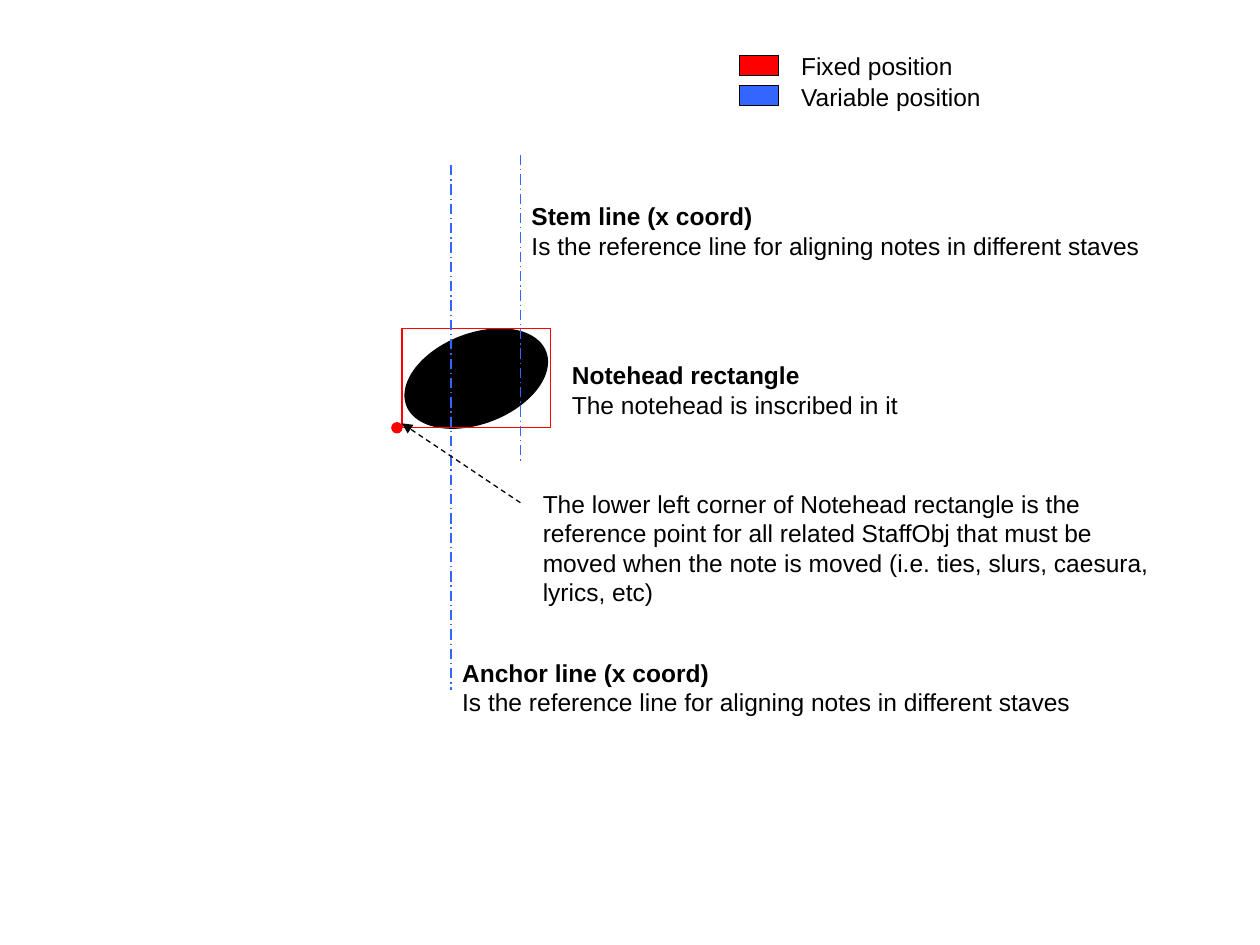
from dataclasses import dataclass

from lxml import etree
from pptx import Presentation
from pptx.dml.color import RGBColor
from pptx.enum.dml import MSO_LINE
from pptx.enum.shapes import MSO_CONNECTOR, MSO_SHAPE
from pptx.enum.text import MSO_ANCHOR, MSO_AUTO_SIZE, PP_ALIGN
from pptx.oxml.ns import qn
from pptx.util import Inches, Pt

RECT, OVAL = MSO_SHAPE.RECTANGLE, MSO_SHAPE.OVAL
STRAIGHT = MSO_CONNECTOR.STRAIGHT
DASH, CHAIN = MSO_LINE.DASH, MSO_LINE.LONG_DASH_DOT
FIT, TOP, LEFT = MSO_AUTO_SIZE.SHAPE_TO_FIT_TEXT, MSO_ANCHOR.TOP, PP_ALIGN.LEFT
COLS, ROWS = 100, 75


@dataclass(frozen=True)
class Theme:
    ink: str = "000000"
    fixed: str = "FF0000"
    moving: str = "3366FF"
    font: str = "Arial"
    size: float = 14
    stroke: float = 0.75


def write(para, text, *, font, size, color, bold=False):
    """Put one formatted run into a paragraph."""
    run = para.add_run()
    run.text = text
    run.font.name = font
    run.font.size = Pt(size)
    run.font.bold = bold
    run.font.color.rgb = RGBColor.from_string(color)
    para.alignment = LEFT


class Sheet:
    """One slide on a grid of COLS by ROWS, with its style."""

    def __init__(self, deck, theme):
        self.theme = theme
        self.slide = deck.slides.add_slide(deck.slide_layouts[6])
        self.col = deck.slide_width / COLS
        self.row = deck.slide_height / ROWS

    def place(self, x, y):
        return round(x * self.col), round(y * self.row)

    def stroke(self, line, color):
        line.color.rgb = RGBColor.from_string(color)
        line.width = Pt(self.theme.stroke)

    def shape(self, kind, x, y, w, h, *, line, fill=None, turn=0):
        item = self.slide.shapes.add_shape(
            kind, *self.place(x, y), *self.place(w, h))
        item.shadow.inherit = False
        item.rotation = turn
        if fill:
            item.fill.solid()
            item.fill.fore_color.rgb = RGBColor.from_string(fill)
        else:
            item.fill.background()
        self.stroke(item.line, line)

    def line(self, start, end, *, color, dash, arrow=False):
        item = self.slide.shapes.add_connector(
            STRAIGHT, *self.place(*start), *self.place(*end))
        self.stroke(item.line, color)
        item.line.dash_style = dash
        if arrow:
            tip = etree.SubElement(item.line._get_or_add_ln(), qn("a:tailEnd"))
            tip.set("type", "triangle")
        etree.SubElement(item._element.spPr, qn("a:effectLst"))

    def label(self, x, y, w, h, body, *, head=None, wrap=False):
        box = self.slide.shapes.add_textbox(
            *self.place(x, y), *self.place(w, h))
        frame = box.text_frame
        frame.word_wrap = wrap
        frame.auto_size = FIT
        frame.vertical_anchor = TOP
        look = dict(font=self.theme.font, size=self.theme.size,
                    color=self.theme.ink)
        para = frame.paragraphs[0]
        if head:
            write(para, head, bold=True, **look)
            para = frame.add_paragraph()
        write(para, body, **look)


def main():
    deck = Presentation()
    deck.slide_width, deck.slide_height = Inches(10), Inches(7.5)
    theme = Theme()
    sheet = Sheet(deck, theme)
    align = "Is the reference line for aligning notes in different staves"
    left, base = 31.9, 33.95  # lower left corner of the notehead
    anchor, stem = 35.8, 41.3  # x of the two reference lines

    # Notehead and its rectangle
    sheet.shape(OVAL, left, 26.5, 11.8, 7.1, fill=theme.ink, line=theme.ink,
                turn=338.8)
    sheet.shape(RECT, left, 26.05, 11.8, 7.9, line=theme.fixed)
    sheet.label(44.4, 28.1, 27.9, 5.7, "The notehead is inscribed in it",
                head="Notehead rectangle")

    # Reference lines
    sheet.line((anchor, 13.1), (anchor, 54.8), color=theme.moving, dash=CHAIN)
    sheet.label(anchor - 0.1, 51.7, 50.3, 5.7, align,
                head="Anchor line (x coord)")
    sheet.line((stem, 12.3), (stem, 36.7), color=theme.moving, dash=CHAIN)
    sheet.label(stem - 0.1, 15.5, 50.3, 5.7, align,
                head="Stem line (x coord)")

    # Reference point and its note
    dot = 0.8
    sheet.shape(OVAL, left - dot, base - dot / 2, dot, dot,
                fill=theme.fixed, line=theme.fixed)
    sheet.line((stem, 39.9), (left, 33.6), color=theme.ink, dash=DASH,
               arrow=True)
    sheet.label(42.1, 38.3, 50.4, 10.4,
                "The lower left corner of Notehead rectangle is the reference "
                "point for all related StaffObj that must be moved when the "
                "note is moved (i.e. ties, slurs, caesura, lyrics, etc)",
                wrap=True)

    # Legend
    keys = [("Fixed position", theme.fixed, 14),
            ("Variable position", theme.moving, 16.4)]
    for i, (text, color, width) in enumerate(keys):
        y = 3.6 + 2.4 * i
        sheet.shape(RECT, 58.7, y + 0.8, 3.1, 1.6, fill=color, line=theme.ink)
        sheet.label(62.6, y, width, 3.4, text)

    deck.save("out.pptx")


if __name__ == "__main__":
    main()
